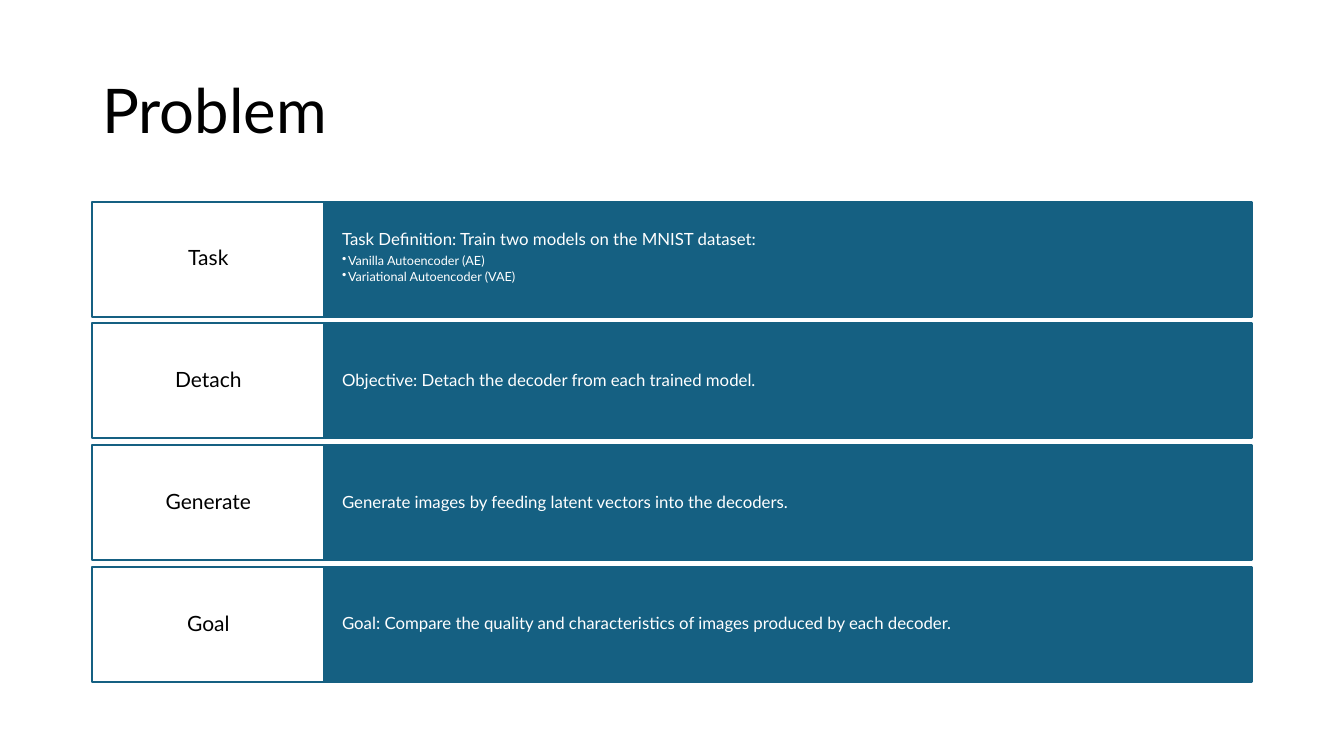
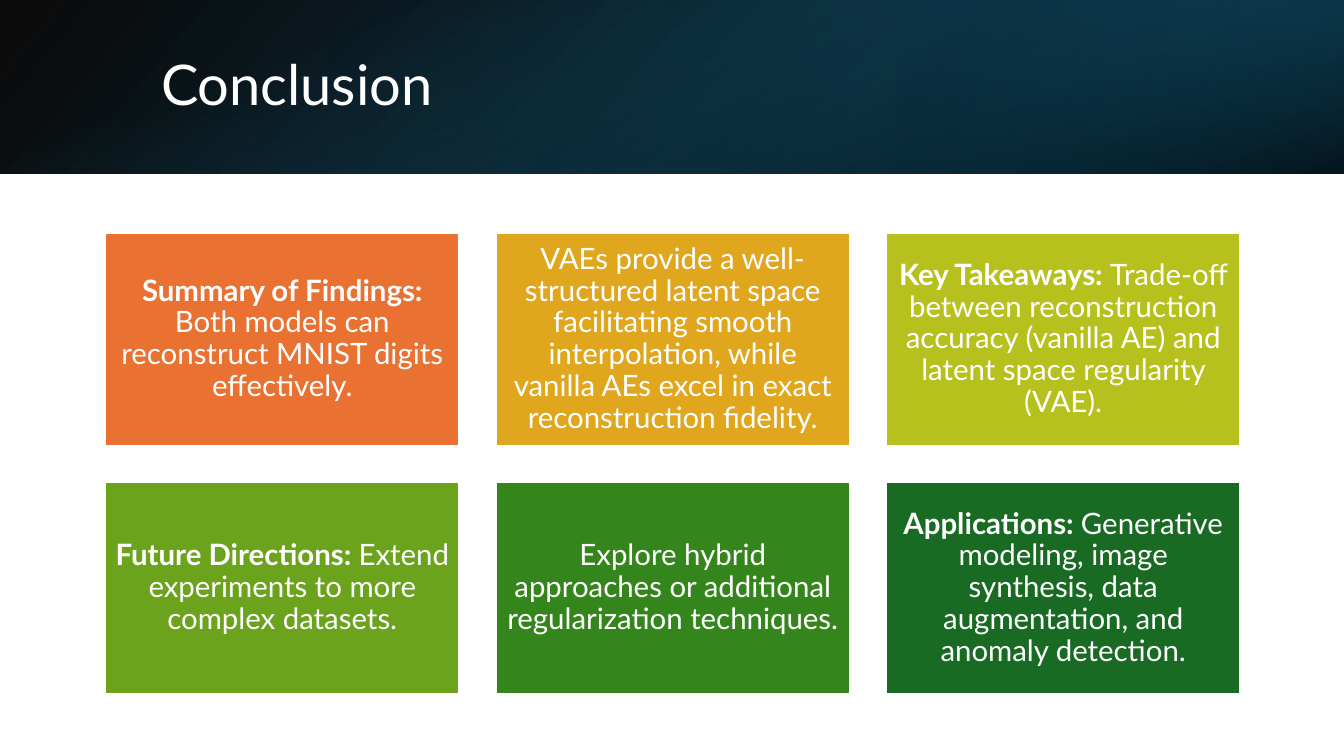
from itertools import product
from pptx import Presentation
from pptx.dml.color import RGBColor as RGB
from pptx.enum.shapes import MSO_SHAPE as Shape
from pptx.enum.text import MSO_ANCHOR as Anchor, PP_ALIGN as Align
from pptx.oxml.ns import qn
from pptx.util import Cm, Pt
from lxml.etree import SubElement as Sub

INK = {
    "black": "000000", "white": "FFFFFF", "teal": "156082", "deep": "104862",
    "night": "0B3041", "orange": "E97132", "gold": "E0A61D", "lime": "B7C11E",
    "leaf": "6BA31D", "green": "34861C", "pine": "196B24",
}
FONT = "Lato"
WIDE, TALL = 33.87, 19.05
SIDES = ("margin_left", "margin_top", "margin_right", "margin_bottom")

STEPS = [
    ("Task", ["Task Definition: Train two models on the MNIST dataset:",
              "Vanilla Autoencoder (AE)", "Variational Autoencoder (VAE)"]),
    ("Detach", ["Objective: Detach the decoder from each trained model."]),
    ("Generate", ["Generate images by feeding latent vectors into the decoders."]),
    ("Goal", ["Goal: Compare the quality and characteristics of images produced by each decoder."]),
]
CARDS = [
    ("orange", "Summary of Findings: ", "Both models can reconstruct MNIST digits effectively."),
    ("gold", "", "VAEs provide a well-structured latent space facilitating smooth "
                 "interpolation, while vanilla AEs excel in exact reconstruction fidelity."),
    ("lime", "Key Takeaways: ", "Trade-off between reconstruction accuracy (vanilla AE) "
                                "and latent space regularity (VAE)."),
    ("leaf", "Future Directions: ", "Extend experiments to more complex datasets."),
    ("green", "", "Explore hybrid approaches or additional regularization techniques."),
    ("pine", "Applications: ", "Generative modeling, image synthesis, data augmentation, "
                               "and anomaly detection."),
]
GLOWS = [
    {"box": (0, 0, 1, 1), "turn": 0, "flip": True, "angle": 140,
     "stops": [(0, "black", 96), (1, "deep", 100)]},
    {"box": (2 / 3, 0, 1 / 3, 1), "turn": 180, "flip": True, "angle": 320,
     "stops": [(0.19, "night", 68), (1, "teal", 79)]},
    {"box": (0, 0, 1, 1), "turn": 90, "flip": False, "angle": 340,
     "stops": [(0.23, "teal", 0), (0.99, "black", 74)]},
]


def tint(name):
    """Return the colour of that name."""
    return RGB.from_string(INK[name])


def apply(item, style):
    """Set each attribute in the style on the item."""
    for key, val in style.items():
        setattr(item, key, val)


def rect(slide, box, fill=None, line=None):
    """Add a flat rectangle in a box given in centimetres."""
    shape = slide.shapes.add_shape(Shape.RECTANGLE, *map(Cm, box))
    shape.shadow.inherit = False
    if fill:
        shape.fill.solid()
        shape.fill.fore_color.rgb = tint(fill)
    if line:
        shape.line.color.rgb = tint(line)
        shape.line.width = Pt(1.5)
    else:
        shape.line.fill.background()
    return shape


def frame(shape, pads, anchor=Anchor.MIDDLE):
    """Set up the text frame of a shape and return it."""
    text = shape.text_frame
    apply(text, {"word_wrap": True, "vertical_anchor": anchor})
    apply(text, dict(zip(SIDES, map(Cm, pads * 2))))
    return text


def write(para, runs, size, ink, align=Align.LEFT, after=0.35):
    """Fill a paragraph with pairs of text and boldness."""
    apply(para, {"alignment": align, "line_spacing": 0.9,
                 "space_before": Pt(0), "space_after": Pt(size * after)})
    for words, bold in runs:
        run = para.add_run()
        run.text = words
        apply(run.font, {"name": FONT, "size": Pt(size), "bold": bold})
        run.font.color.rgb = tint(ink)


def bullet(para, indent):
    """Give a paragraph a hanging bullet."""
    para.level = 1
    props = para._p.get_or_add_pPr()
    props.set("marL", str(Cm(indent)))
    props.set("indent", str(-Cm(indent)))
    Sub(props, qn("a:buChar")).set("char", "•")


def title(slide, box, words, size, ink):
    """Add the slide title."""
    text = frame(slide.shapes.add_textbox(*map(Cm, box)), (0.25, 0.13))
    write(text.paragraphs[0], [(words, False)], size, ink, after=0)


def step(slide, box, name, lines):
    """Add a row with a label on the left and its body on the right."""
    left, top, width, height = box
    split = width * 0.2
    body = rect(slide, (left + split, top, width - split, height), "teal", "teal")
    anchor = Anchor.TOP if len(lines) > 1 else Anchor.MIDDLE
    text = frame(body, (0.45, 0.73), anchor)
    write(text.paragraphs[0], [(lines[0], False)], 12, "white")
    for words in lines[1:]:
        para = text.add_paragraph()
        write(para, [(words, False)], 9, "white", after=0.15)
        bullet(para, 0.15)
    label = rect(slide, (left, top, split, height), "white", "teal")
    para = frame(label, (0.3, 0.28)).paragraphs[0]
    write(para, [(name, False)], 15, "black", Align.CENTER)


def card(slide, box, fill, head, words):
    """Add a coloured card with an optional bold lead."""
    para = frame(rect(slide, box, fill, "white"), (0.23, 0.23)).paragraphs[0]
    runs = [run for run in ((head, True), (words, False)) if run[0]]
    write(para, runs, 21, "white", Align.CENTER)


def glow(slide, box, turn, flip, angle, stops):
    """Add one see-through gradient layer that covers the box once turned."""
    left, top, width, height = box
    if turn == 90:
        shift = (width - height) / 2
        left, top, width, height = left + shift, top - shift, height, width
    shape = rect(slide, (left, top, width, height))
    shape.rotation = turn
    if flip:
        shape._element.spPr.xfrm.set("flipH", "1")
    shape.fill.gradient()
    shape.fill.gradient_angle = 360 - angle
    for stop, (place, ink, alpha) in zip(shape.fill.gradient_stops, stops):
        stop.position = place
        stop.color.rgb = tint(ink)
        Sub(stop._gs[0], qn("a:alpha")).set("val", str(alpha * 1000))


def band(slide, box):
    """Add the dark header band."""
    left, top, width, height = box
    for layer in GLOWS:
        x, y, w, h = layer["box"]
        area = (left + x * width, top + y * height, w * width, h * height)
        glow(slide, **{**layer, "box": area})


def problem(slide, box):
    """Build the slide with the rows of steps."""
    left, top, width, height = box
    title(slide, (left, 1.01, width, 3.68), "Problem", 44, "black")
    gap = 0.165
    tall = (height - gap * (len(STEPS) - 1)) / len(STEPS)
    for row, (name, lines) in enumerate(STEPS):
        step(slide, (left, top + row * (tall + gap), width, tall), name, lines)


def closing(slide, box):
    """Build the slide with the header band and the grid of cards."""
    left, top, width, height = box
    band(slide, (0, 0, WIDE, 4.38))
    title(slide, (3.81, 0.97, 27.89, 2.44), "Conclusion", 40, "white")
    gap = 0.91
    wide, tall = (width - 2 * gap) / 3, (height - gap) / 2
    for (row, col), item in zip(product(range(2), range(3)), CARDS):
        spot = (left + col * (wide + gap), top + row * (tall + gap))
        card(slide, (*spot, wide, tall), *item)


def main():
    """Build and save the deck."""
    deck = Presentation()
    apply(deck, {"slide_width": Cm(WIDE), "slide_height": Cm(TALL)})
    blank = deck.slide_layouts[6]
    problem(deck.slides.add_slide(blank), (2.33, 5.08, 29.21, 12.1))
    closing(deck.slides.add_slide(blank), (2.65, 5.87, 28.61, 11.63))
    deck.save("out.pptx")


if __name__ == "__main__":
    main()
